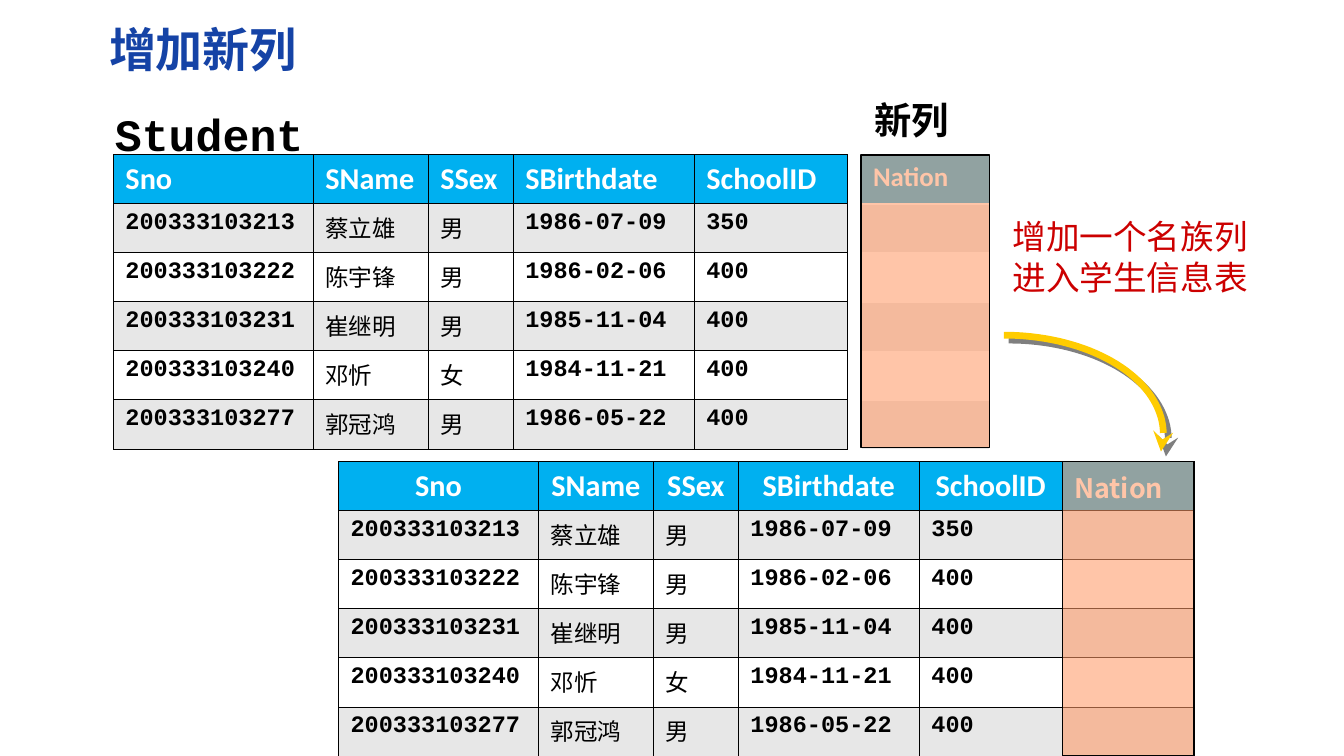
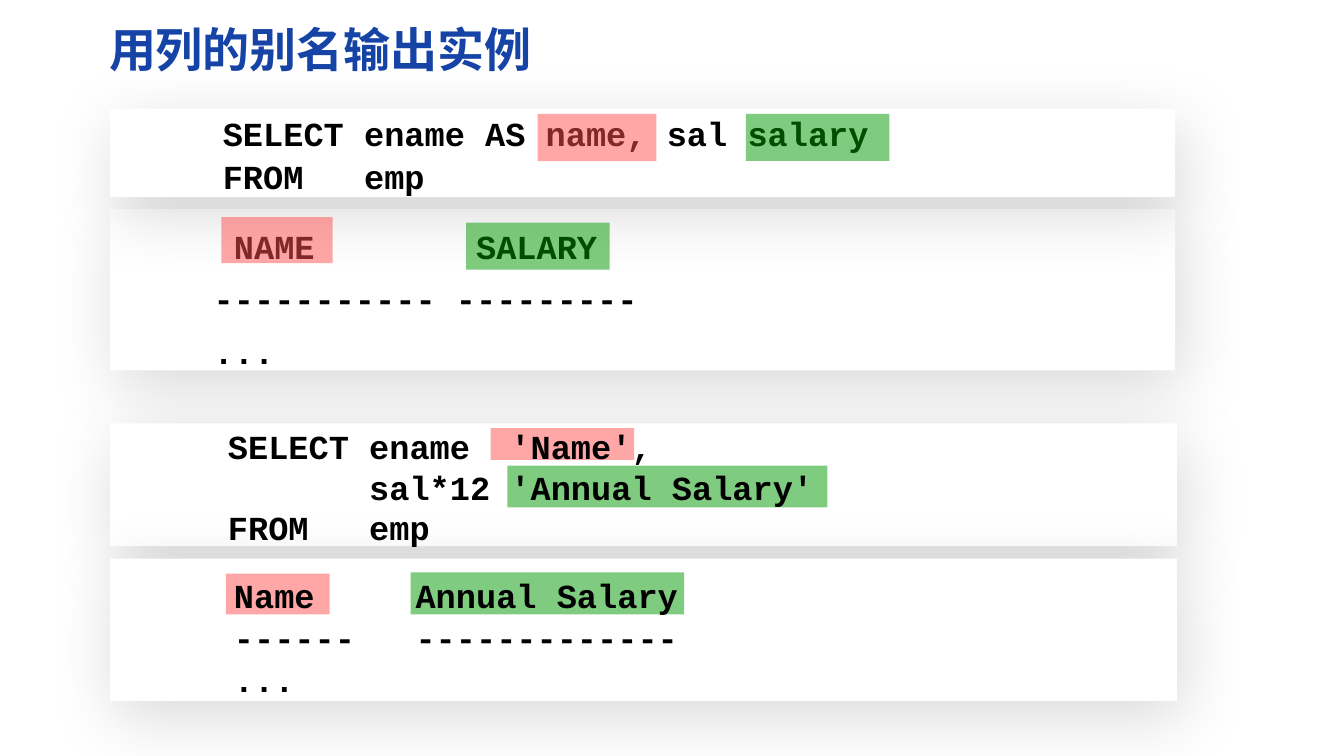
import math
from dataclasses import dataclass
from typing import NamedTuple

import lxml.etree
import pptx
import pptx.dml.color
import pptx.enum.shapes
import pptx.enum.text
import pptx.oxml
import pptx.oxml.ns
import pptx.util

Pt = pptx.util.Pt
ALIGN = pptx.enum.text.PP_ALIGN
ANCHOR = pptx.enum.text.MSO_ANCHOR
RECT = pptx.enum.shapes.MSO_SHAPE.RECTANGLE

SANS, MONO, HAN = "Calibri", "Courier New", "Noto Sans CJK SC"
BLACK, WHITE, GRAY = "000000", "FFFFFF", "E7E7E7"
NAVY, SKY, PEACH = "1543A6", "00B0F0", "FF9966"
RED, GREEN, CRIMSON, GOLD = "FF5050", "009900", "CC0000", "FFCC00"
ROW = 29.2
DATA = (
    ("200333103213", "蔡立雄", "男", "1986-07-09", "350"),
    ("200333103222", "陈宇锋", "男", "1986-02-06", "400"),
    ("200333103231", "崔继明", "男", "1985-11-04", "400"),
    ("200333103240", "邓忻", "女", "1984-11-21", "400"),
    ("200333103277", "郭冠鸿", "男", "1986-05-22", "400"),
)
HEADS = ("Sno", "SName", "SSex", "SBirthdate", "SchoolID")


class Box(NamedTuple):
    left: float
    top: float
    width: float
    height: float

    def lengths(self) -> tuple:
        return tuple(Pt(side) for side in self)


class Font(NamedTuple):
    name: str
    size: float
    color: str = BLACK
    bold: bool = True


class Para(NamedTuple):
    text: str
    lead: float = 0


class Shade(NamedTuple):
    alpha: int
    blur: float
    dist: float
    angle: int


@dataclass
class Grid:
    left: float
    top: float
    widths: tuple
    rows: list
    heads: list
    edge: str = BLACK
    weight: float = 0.5
    align: ALIGN = ALIGN.LEFT


CODE = Font(MONO, 20)
HEAD = Font(SANS, 18, WHITE)
SOFT = Shade(15, 40, 10, 70)


def color(code: str) -> pptx.dml.color.RGBColor:
    return pptx.dml.color.RGBColor.from_string(code)


def add(host, tag: str, **traits):
    node = lxml.etree.SubElement(host, pptx.oxml.ns.qn(tag))
    for key, value in traits.items():
        node.set(key, str(value))
    return node


def write(para, text: str, font: Font) -> None:
    for index, part in enumerate(text.split("\n")):
        if index:
            para.add_line_break()
        run = para.add_run()
        run.text = part
        run.font.name = font.name
        run.font.size = Pt(font.size)
        run.font.bold = font.bold
        run.font.color.rgb = color(font.color)
        add(run.font._element, "a:ea", typeface=font.name)


def fill_text(frame, paras: list, font: Font, anchor=ANCHOR.TOP, inset=(7.9, 4.3)) -> None:
    frame.word_wrap = True
    frame.vertical_anchor = anchor
    frame.margin_left = frame.margin_right = Pt(inset[0])
    frame.margin_top = frame.margin_bottom = Pt(inset[1])
    for index, item in enumerate(paras):
        para = frame.add_paragraph() if index else frame.paragraphs[0]
        para.alignment = ALIGN.LEFT
        if item.lead:
            para.line_spacing = Pt(item.lead)
        write(para, item.text, font)


def label(slide, box: Box, paras: list, font: Font, anchor=ANCHOR.TOP) -> None:
    fill_text(slide.shapes.add_textbox(*box.lengths()).text_frame, paras, font, anchor)


def cast(shape, shade: Shade) -> None:
    shape.shadow.inherit = False
    host = shape._element.spPr.find(pptx.oxml.ns.qn("a:effectLst"))
    outer = add(host, "a:outerShdw", blurRad=Pt(shade.blur), dist=Pt(shade.dist),
                dir=shade.angle * 60000, algn="ctr", rotWithShape=0)
    add(add(outer, "a:srgbClr", val=BLACK), "a:alpha", val=shade.alpha * 1000)


def block(slide, box: Box, tone: str, alpha: int = 100, edge: str = ""):
    shape = slide.shapes.add_shape(RECT, *box.lengths())
    shape.shadow.inherit = False
    shape.fill.solid()
    shape.fill.fore_color.rgb = color(tone)
    if alpha < 100:
        tint = shape._element.spPr.find(".//" + pptx.oxml.ns.qn("a:srgbClr"))
        add(tint, "a:alpha", val=alpha * 1000)
    if edge:
        shape.line.color.rgb = color(edge)
        shape.line.width = Pt(0.75)
    else:
        shape.line.fill.background()
    return shape


def panel(slide, box: Box):
    shape = block(slide, box, WHITE)
    cast(shape, SOFT)
    return shape


def style(cell, tone: str, grid: Grid) -> None:
    cell.margin_bottom = Pt(0)
    props = cell._tc.get_or_add_tcPr()
    for side in ("a:lnL", "a:lnR", "a:lnT", "a:lnB"):
        line = add(props, side, w=Pt(grid.weight))
        add(add(line, "a:solidFill"), "a:srgbClr", val=grid.edge)
    cell.fill.solid()
    cell.fill.fore_color.rgb = color(tone)


def draw_grid(slide, grid: Grid) -> None:
    count = len(grid.rows) + 1
    box = Box(grid.left, grid.top, sum(grid.widths), ROW * count)
    table = slide.shapes.add_table(count, len(grid.widths), *box.lengths()).table
    for col, width in zip(table.columns, grid.widths):
        col.width = Pt(width)
    for row in table.rows:
        row.height = Pt(ROW)
    for index, (text, font) in enumerate(grid.heads):
        cell = table.cell(0, index)
        style(cell, SKY, grid)
        para = cell.text_frame.paragraphs[0]
        para.alignment = ALIGN.LEFT if text == "Nation" else grid.align
        write(para, text, font)
    for down, items in enumerate(grid.rows, 1):
        for across, text in enumerate(items):
            cell = table.cell(down, across)
            style(cell, GRAY if down % 2 else WHITE, grid)
            if text:
                font = Font(HAN, 14, bold=False) if across in (1, 2) else Font(MONO, 14)
                write(cell.text_frame.paragraphs[0], text, font)


def draw_curve(slide, left: float, top: float, wide: float, high: float) -> None:
    turns = [math.radians(step * 2.5 - 90) for step in range(41)]
    points = [(Pt(left + wide * math.cos(turn)), Pt(top + high + high * math.sin(turn)))
              for turn in turns]
    maker = slide.shapes.build_freeform(*points[0])
    maker.add_line_segments(points[1:], close=False)
    curve = maker.convert_to_shape()
    curve.fill.background()
    curve.line.color.rgb = color(GOLD)
    curve.line.width = Pt(4)
    line = curve.line._get_or_add_ln()
    add(line, "a:round")
    add(line, "a:tailEnd", type="stealth")
    cast(curve, Shade(50, 0, 4.2, 45))


def start(deck, title: str):
    slide = deck.slides.add_slide(deck.slide_layouts[6])
    label(slide, Box(57, 8.5, 706, 41), [Para(title)], Font(HAN, 28, NAVY), ANCHOR.MIDDLE)
    return slide


def new_col(deck) -> None:
    slide = start(deck, "增加新列")
    heads = [(text, HEAD) for text in HEADS]
    draw_grid(slide, Grid(512.5, 92.3, (76.5,), [("",)] * len(DATA),
                          [("Nation", Font(SANS, 16, WHITE))], WHITE, 1))
    block(slide, Box(512.5, 92.3, 76.5, 174), PEACH, 57, BLACK)
    label(slide, Box(60.5, 55.5, 199, 45), [Para("Student", 36)], Font(MONO, 26.7))
    label(slide, Box(594.7, 123.5, 162, 57), [Para("增加一个名族列进入学生信息表", 24.5)],
          Font(HAN, 20, CRIMSON, False))
    draw_curve(slide, 597.5, 199.5, 95, 59)
    label(slide, Box(512.5, 51, 72, 35), [Para("新列", 29)], Font(HAN, 22.2))
    draw_grid(slide, Grid(67.5, 92, (119, 68.4, 50.6, 107.8, 91), list(DATA), heads))
    draw_grid(slide, Grid(201.5, 274.8, (119, 68.4, 50.6, 107.8, 85, 78.5),
                          [items + ("",) for items in DATA],
                          heads + [("Nation", Font(HAN, 16, WHITE))], align=ALIGN.CENTER))
    block(slide, Box(632.3, 274.8, 78.5, 175), PEACH, 57, BLACK)


def alias(deck) -> None:
    slide = start(deck, "用列的别名输出实例")
    panel(slide, Box(65.5, 124.5, 634, 96))
    label(slide, Box(71.3, 123, 319, 97),
          [Para("     NAME        SALARY", 31.2),
           Para("    ----------- ---------\n    ...", 31.2)], CODE)
    query = panel(slide, Box(65.5, 64.6, 634, 52.8))
    fill_text(query.text_frame, [Para("     SELECT ename AS name, sal salary", 26),
                                 Para("     FROM   emp", 26)], CODE, ANCHOR.MIDDLE, (7.2, 3.6))
    panel(slide, Box(65.5, 252, 635, 73.2))
    panel(slide, Box(65.5, 332.5, 635, 84.7))
    for box, tone in (
        (Box(292, 254.8, 85.5, 19), RED),
        (Box(134.5, 341.5, 61.7, 24.3), RED),
        (Box(302, 277.2, 190.5, 24.8), GREEN),
        (Box(244.5, 340.7, 162.8, 25), GREEN),
    ):
        block(slide, box, tone, 50)
    label(slide, Box(67.7, 252, 638, 75.6),
          [Para("     SELECT ename  'Name',", 24),
           Para("            sal*12 'Annual Salary'", 24),
           Para("     FROM   emp", 24)], CODE, ANCHOR.MIDDLE)
    label(slide, Box(71.3, 330.5, 343, 87),
          [Para("     Name     Annual Salary", 31.2),
           Para("     ------   -------------\n     ...", 25)], CODE)
    for box, tone in (
        (Box(320, 67.8, 70.8, 28.2), RED),
        (Box(131.8, 129.3, 66.2, 27.3), RED),
        (Box(444, 67.8, 85.4, 28), GREEN),
        (Box(277.5, 132.6, 85.4, 28), GREEN),
    ):
        block(slide, box, tone, 50)


def main() -> None:
    deck = pptx.Presentation()
    deck.slide_width, deck.slide_height = Pt(800), Pt(450)
    new_col(deck)
    alias(deck)
    deck.save("out.pptx")


if __name__ == "__main__":
    main()
